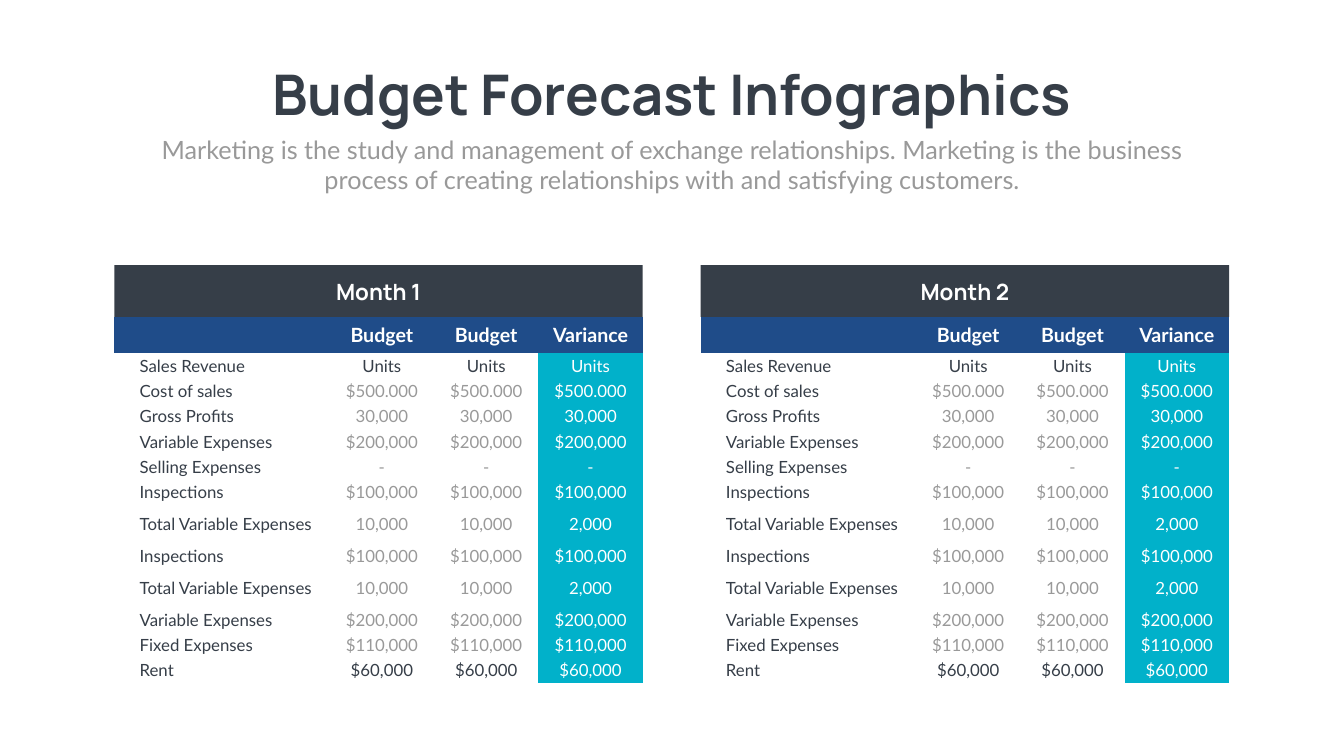
"""Build a budget forecast slide with two monthly tables."""
from dataclasses import dataclass

from pptx import Presentation, util as u
from pptx.dml.color import RGBColor
from pptx.enum import shapes, text


@dataclass(frozen=True)
class Theme:
    dark: str = "363E48"
    gray: str = "999999"
    blue: str = "1F4C89"
    teal: str = "01B1CA"
    white: str = "FFFFFF"
    heading: str = "Manrope"
    body: str = "Lato"
    title_size: int = 80
    subtitle_size: int = 36
    month_size: int = 32
    header_size: int = 28
    cell_size: int = 24


THEME = Theme()
NO_GRID_STYLE = "{2D5ABB26-0587-4C30-8999-92F81FD0307C}"
MONTHS = {"Month 1": 2.27, "Month 2": 13.9}
TABLE_WIDTH = 10.48
COLUMN_WIDTHS = [4.27, 2.07, 2.07, 2.07]
HEADER = ["", "Budget", "Budget", "Variance"]
ROWS = [
    ("Sales Revenue", "Units", "Units"),
    ("Cost of sales", "$500.000", "$500.000"),
    ("Gross Profits", "30,000", "30,000"),
    ("Variable Expenses", "$200,000", "$200,000"),
    ("Selling Expenses", "-", "-"),
    ("Inspections", "$100,000", "$100,000"),
    ("Total Variable Expenses", "10,000", "2,000"),
    ("Inspections", "$100,000", "$100,000"),
    ("Total Variable Expenses", "10,000", "2,000"),
    ("Variable Expenses", "$200,000", "$200,000"),
    ("Fixed Expenses", "$110,000", "$110,000"),
    ("Rent", "$60,000", "$60,000"),
]


def paint(fill, color):
    fill.solid()
    fill.fore_color.rgb = RGBColor.from_string(color)


def write(tf, content, font, size, color, bold=False, align=text.PP_ALIGN.CENTER):
    p = tf.paragraphs[0]
    p.text = content
    p.alignment = align
    p.font.name = font
    p.font.size = u.Pt(size)
    p.font.bold = bold
    p.font.color.rgb = RGBColor.from_string(color)


def add_text(s, box, content, font, size, color, bold=False, wrap=True, inset=None):
    tf = s.shapes.add_textbox(*map(u.Inches, box)).text_frame
    tf.word_wrap = wrap
    tf.auto_size = text.MSO_AUTO_SIZE.SHAPE_TO_FIT_TEXT
    if inset is not None:
        tf.margin_left = tf.margin_right = u.Inches(inset)
        tf.margin_top = tf.margin_bottom = u.Inches(inset)
    write(tf, content, font, size, color, bold)


def fill_header(cell, label):
    paint(cell.fill, THEME.blue)
    if label:
        write(cell.text_frame, label, THEME.body, THEME.header_size, THEME.white, True)


def fill_cell(cell, column, value, emphasized):
    color = THEME.dark if emphasized or column == 0 else THEME.gray
    align = text.PP_ALIGN.CENTER
    cell.fill.background()
    if column == 0:
        cell.margin_left = u.Inches(0.5)
        align = text.PP_ALIGN.LEFT
    elif column == 3:
        paint(cell.fill, THEME.teal)
        color = THEME.white
    write(cell.text_frame, value, THEME.body, THEME.cell_size, color, align=align)


def add_budget_table(s, left):
    height = u.Inches(7.26)
    frame = s.shapes.add_table(len(ROWS) + 1, len(HEADER), u.Inches(left),
                               u.Inches(6.29), u.Inches(TABLE_WIDTH), height)
    table = frame.table
    table.first_row = table.horz_banding = False
    table._tbl.tblPr[0].text = NO_GRID_STYLE
    for column, width in zip(table.columns, COLUMN_WIDTHS):
        column.width = u.Inches(width)
    table.rows[0].height = u.Inches(0.72)
    for i, label in enumerate(HEADER):
        fill_header(table.cell(0, i), label)
    for n, (label, budget, variance) in enumerate(ROWS, 1):
        tall = n in (7, 9)
        table.rows[n].height = u.Inches(0.77 if tall else 0.46)
        for i, value in enumerate((label, budget, budget, variance)):
            fill_cell(table.cell(n, i), i, value, n in (1, len(ROWS)))
    for cell in table.iter_cells():
        cell.vertical_anchor = text.MSO_ANCHOR.MIDDLE
    frame.height = height


def add_month_bar(s, left):
    bar = s.shapes.add_shape(shapes.MSO_SHAPE.RECTANGLE, u.Inches(left),
                             u.Inches(5.26), u.Inches(TABLE_WIDTH), u.Inches(1.03))
    bar.shadow.inherit = False
    bar.line.fill.background()
    paint(bar.fill, THEME.dark)


def main():
    prs = Presentation()
    prs.slide_width, prs.slide_height = u.Inches(26.66), u.Inches(15)
    s = prs.slides.add_slide(prs.slide_layouts[6])
    add_text(s, (4.71, 1.14, 17.23, 1.45), "Budget Forecast Infographics",
             THEME.heading, THEME.title_size, THEME.dark, True, wrap=False)
    add_text(s, (2.92, 2.61, 20.82, 1.31),
             "Marketing is the study and management of exchange relationships. "
             "Marketing is the business process of creating relationships with "
             "and satisfying customers.",
             THEME.body, THEME.subtitle_size, THEME.gray)
    for month, left in MONTHS.items():
        add_budget_table(s, left)
        add_month_bar(s, left)
        add_text(s, (left + 2.49, 5.45, 5.5, 0.65), month, THEME.heading,
                 THEME.month_size, THEME.white, True, inset=0.06)
    prs.save("out.pptx")


if __name__ == "__main__":
    main()
